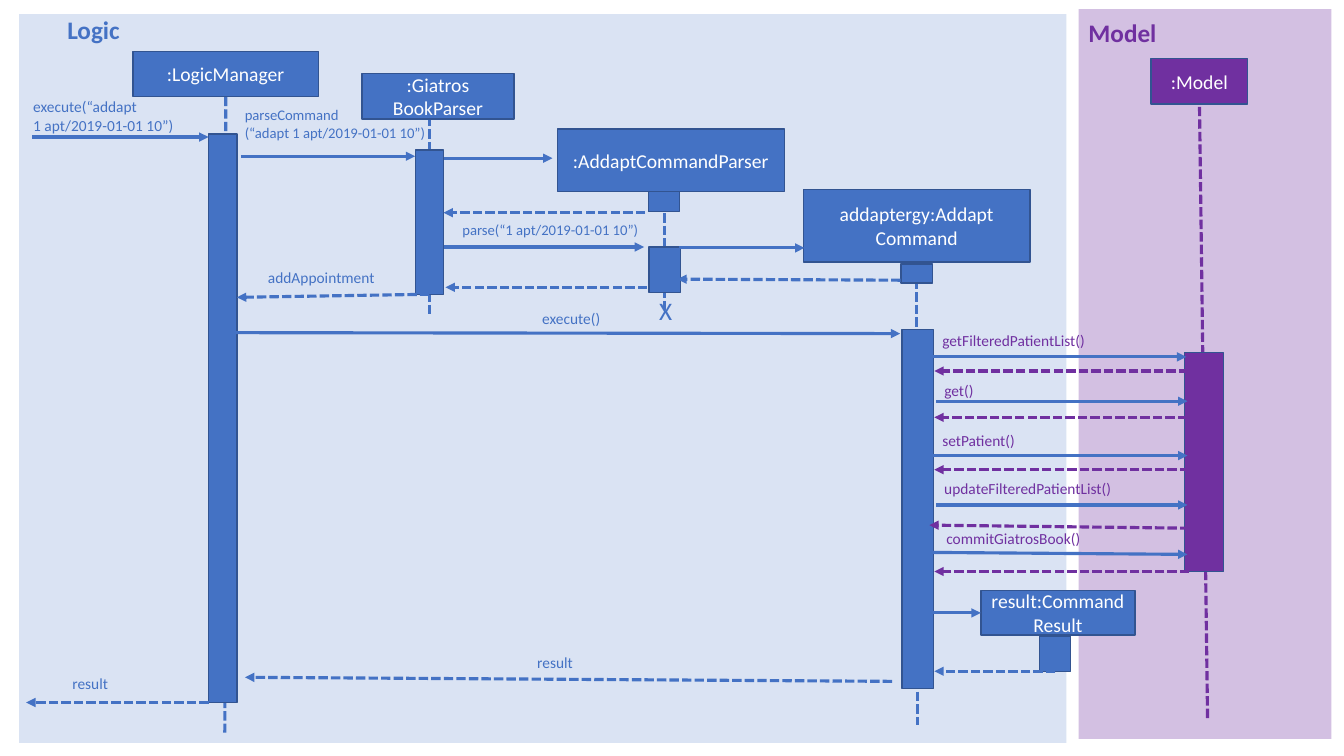
from lxml import etree
from pptx import Presentation
from pptx.dml.color import RGBColor
from pptx.enum.dml import MSO_LINE
from pptx.enum.shapes import MSO_CONNECTOR, MSO_SHAPE
from pptx.enum.text import MSO_ANCHOR, MSO_AUTO_SIZE, PP_ALIGN
from pptx.oxml.ns import qn
from pptx.util import Pt

RECTANGLE = MSO_SHAPE.RECTANGLE
STRAIGHT = MSO_CONNECTOR.STRAIGHT
DASH = MSO_LINE.SQUARE_DOT
MIDDLE = MSO_ANCHOR.MIDDLE
CENTER = PP_ALIGN.CENTER
FIT_SHAPE = MSO_AUTO_SIZE.SHAPE_TO_FIT_TEXT

BLUE = "4472C4"
PURPLE = "7030A0"
OUTLINE = "325491"
PALE_BLUE = "DAE3F3"
WHITE = "FFFFFF"

# left, top, width, height
LOGIC_PANEL = (13.7, 10.1, 748.1, 520.6)
MODEL_PANEL = (770.4, 6.5, 180.7, 521.3)

# x1, y1, x2, y2, colour
LIFELINES = [
    (161.3, 69.1, 160.6, 523.4, BLUE),
    (306.7, 83.5, 306.7, 225.4, BLUE),
    (474.5, 143.3, 474.5, 223.2, BLUE),
    (654.5, 190.8, 654.5, 259.2, BLUE),
    (655.2, 449.3, 655.2, 517.7, BLUE),
    (856.8, 76.3, 862.6, 514.8, PURPLE),
]

# left, top, width, height, colour
ACTIVATIONS = [
    (149, 95.8, 20.2, 406.1, BLUE),
    (296.6, 107.3, 20.2, 103, BLUE),
    (463, 135.4, 22.3, 15.8, BLUE),
    (463.7, 176.4, 22.3, 32.4, BLUE),
    (643.7, 188.6, 22.3, 13.7, BLUE),
    (644.4, 235.4, 22.3, 256.3, BLUE),
    (742.3, 454.3, 22.3, 25.2, BLUE),
    (846, 252, 28.1, 156.2, PURPLE),
]

# text, left, top, width, height, colour
PARTICIPANTS = [
    (":LogicManager", 95, 36.7, 132.5, 32.4, BLUE),
    (":Giatros\nBookParser", 258.5, 52.6, 108.7, 32.4, BLUE),
    (":AddaptCommandParser", 398.2, 92.2, 162, 44.6, BLUE),
    ("addaptergy:Addapt\nCommand", 573.8, 135.4, 162, 51.8, BLUE),
    ("result:CommandResult", 700.6, 421.9, 110.2, 31.7, BLUE),
    (":Model", 822.2, 41.8, 69.1, 32.4, PURPLE),
]

# x1, y1, x2, y2
LOGIC_CALLS = [
    (23, 97.9, 149, 97.9),
    (172.1, 111.6, 296.6, 111.6),
    (316.8, 113, 394.6, 113),
    (317.5, 176.4, 460.1, 176.4),
    (485.3, 177.1, 574.6, 177.1),
    (164.2, 237.6, 643, 238.3),
    (657.4, 437.8, 700.6, 437.8),
]
LOGIC_REPLIES = [
    (460.8, 151.9, 316.8, 151.9),
    (652.3, 200.2, 483.8, 199.4),
    (462.2, 205.2, 318.2, 205.2),
    (306.7, 210.2, 169.2, 212.4),
    (753.8, 479.5, 667.4, 479.5),
    (637.2, 486.7, 175, 483.8),
    (149, 501.8, 18.7, 501.8),
]

# text, left, top, width, height, size
LOGIC_LABELS = [
    ("execute(“addapt\n1 apt/2019-01-01 10”)", 16.6, 66.2, 143.3, 33.8, 11),
    ("parseCommand\n(“adapt 1 apt/2019-01-01 10”)", 167.8, 72, 205.9, 33.8, 10.5),
    ("parse(“1 apt/2019-01-01 10”)", 323.3, 154.1, 205.9, 20.2, 10.5),
    ("addAppointment", 184.3, 187.9, 120.2, 20.9, 11),
    ("execute()", 380.2, 217.4, 68.4, 20.9, 11),
    ("result", 376.6, 463, 77.8, 20.9, 11),
    ("result", 44.6, 478.1, 77.8, 20.9, 11),
    ("X", 463.7, 207.4, 77.8, 28.8, 18),
]

# text, label (left, top, width), call line, reply line
MODEL_MESSAGES = [
    ("getFilteredPatientList()", (666, 232.6, 146.2),
     (664.6, 254.9, 847.4, 254.9), (848.9, 265, 667.4, 265)),
    ("get()", (667.4, 268.6, 41.8),
     (668.9, 286.6, 848.2, 286.6), (848.2, 298.1, 667.4, 298.1)),
    ("setPatient()", (666, 304.6, 81.4),
     (664.6, 325.4, 848.2, 325.4), (849.6, 335.5, 667.4, 335.5)),
    ("updateFilteredPatientList()", (667.4, 338.4, 168.5),
     (668.9, 360.7, 848.2, 360.7), (849.6, 377.3, 663.8, 375.1)),
    ("commitGiatrosBook()", (668.9, 374.4, 137.5),
     (666, 394.6, 848.2, 396), (849.6, 408.2, 667.4, 408.2)),
]


def rgb(value):
    return RGBColor.from_string(value)


class SequenceDiagram:
    font_name = "Calibri"
    line_width = 2.25

    def __init__(self, slide):
        self.slide = slide

    def set_text(self, frame, text, size, color, bold=False, alignment=None):
        frame.word_wrap = True
        frame.text = text
        for paragraph in frame.paragraphs:
            paragraph.alignment = alignment
            paragraph.font.name = self.font_name
            paragraph.font.size = Pt(size)
            paragraph.font.bold = bold
            paragraph.font.color.rgb = rgb(color)

    def rectangle(self, left, top, width, height, fill, outline=None):
        shape = self.slide.shapes.add_shape(
            RECTANGLE, Pt(left), Pt(top), Pt(width), Pt(height))
        shape.shadow.inherit = False
        shape.fill.solid()
        shape.fill.fore_color.rgb = rgb(fill)
        if outline:
            shape.line.color.rgb = rgb(outline)
            shape.line.width = Pt(1)
        else:
            shape.line.fill.background()
        return shape

    def translucent_panel(self, left, top, width, height, fill, percent):
        shape = self.rectangle(left, top, width, height, fill)
        color = shape.element.spPr.find(".//" + qn("a:srgbClr"))
        etree.SubElement(color, qn("a:alpha"), val=str(percent * 1000))

    def participant(self, text, left, top, width, height, fill):
        shape = self.rectangle(left, top, width, height, fill, OUTLINE)
        shape.text_frame.vertical_anchor = MIDDLE
        self.set_text(shape.text_frame, text, 14, WHITE, alignment=CENTER)

    def line(self, x1, y1, x2, y2, color, dashed=False, arrow=True):
        connector = self.slide.shapes.add_connector(
            STRAIGHT, Pt(x1), Pt(y1), Pt(x2), Pt(y2))
        connector.line.color.rgb = rgb(color)
        connector.line.width = Pt(self.line_width)
        if dashed:
            connector.line.dash_style = DASH
        properties = connector.element.spPr
        if arrow:
            etree.SubElement(properties.find(qn("a:ln")), qn("a:tailEnd"), type="triangle")
        etree.SubElement(properties, qn("a:effectLst"))

    def label(self, text, left, top, width, height, size, color, bold=False):
        box = self.slide.shapes.add_textbox(Pt(left), Pt(top), Pt(width), Pt(height))
        self.set_text(box.text_frame, text, size, color, bold)
        box.text_frame.auto_size = FIT_SHAPE


def main():
    presentation = Presentation()
    presentation.slide_width = Pt(960)
    presentation.slide_height = Pt(540)
    diagram = SequenceDiagram(presentation.slides.add_slide(presentation.slide_layouts[6]))

    diagram.rectangle(*LOGIC_PANEL, PALE_BLUE)
    diagram.translucent_panel(*MODEL_PANEL, PURPLE, 30)
    diagram.label("Logic", 41, 6.5, 52.6, 28.8, 18, BLUE, bold=True)
    diagram.label("Model", 770.4, 8.6, 63.4, 28.8, 18, PURPLE, bold=True)

    for lifeline in LIFELINES:
        diagram.line(*lifeline, dashed=True, arrow=False)
    for activation in ACTIVATIONS:
        diagram.rectangle(*activation, OUTLINE)
    for participant in PARTICIPANTS:
        diagram.participant(*participant)

    for call in LOGIC_CALLS:
        diagram.line(*call, BLUE)
    for reply in LOGIC_REPLIES:
        diagram.line(*reply, BLUE, dashed=True)
    for label in LOGIC_LABELS:
        diagram.label(*label, BLUE)
    for text, place, call, reply in MODEL_MESSAGES:
        diagram.line(*call, BLUE)
        diagram.line(*reply, PURPLE, dashed=True)
        diagram.label(text, *place, 20.9, 11, PURPLE)

    presentation.save("out.pptx")


if __name__ == "__main__":
    main()
